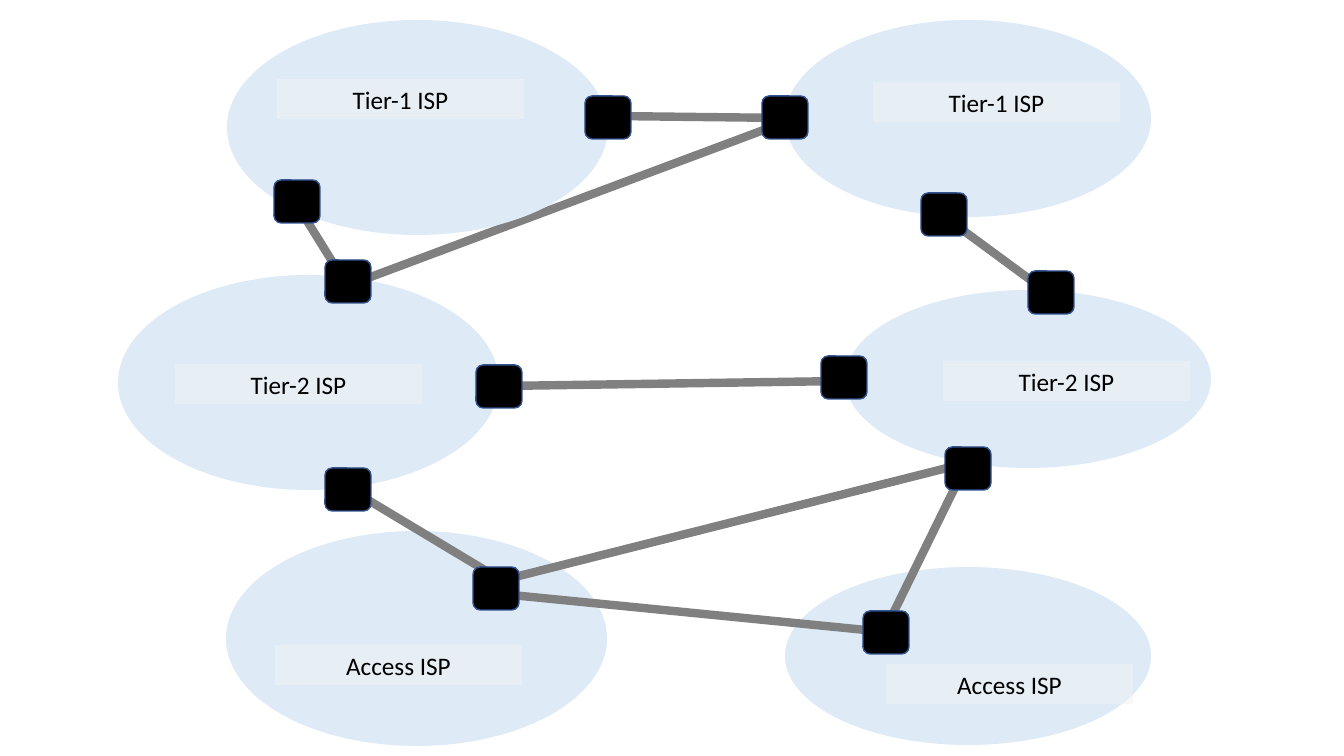
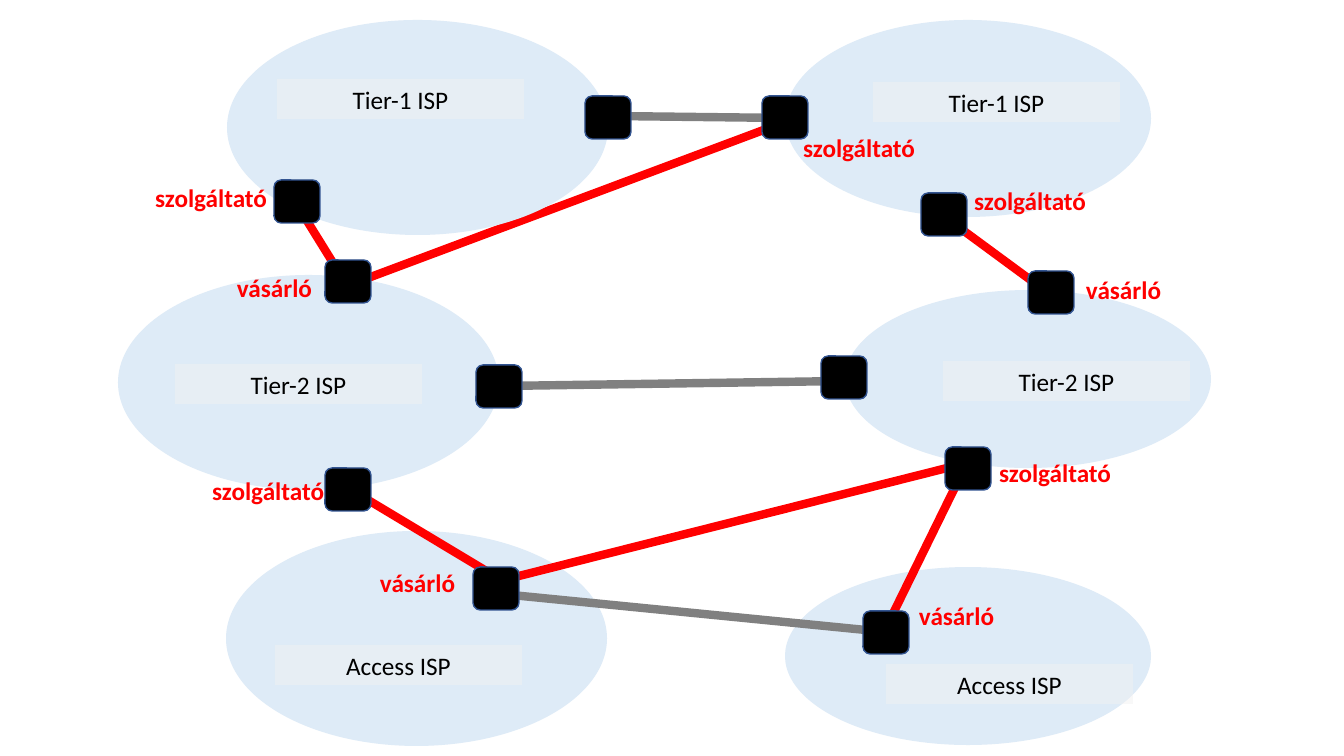
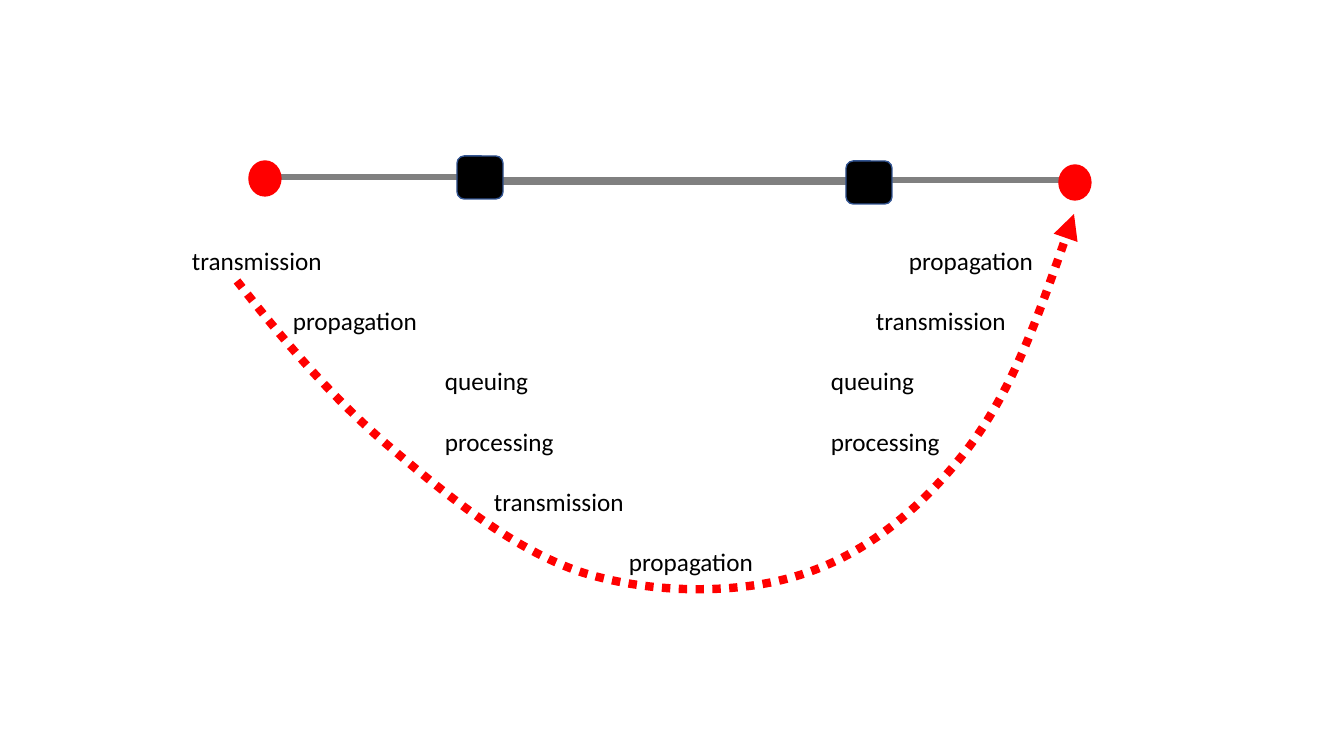
from lxml import etree
from pptx import Presentation
from pptx.dml.color import RGBColor
from pptx.enum.dml import MSO_LINE
from pptx.enum.shapes import MSO_CONNECTOR, MSO_SHAPE
from pptx.enum.text import MSO_ANCHOR, PP_ALIGN
from pptx.oxml.ns import qn
from pptx.util import Emu, Pt

OVAL, RECT, ROUNDED = MSO_SHAPE.OVAL, MSO_SHAPE.RECTANGLE, MSO_SHAPE.ROUNDED_RECTANGLE
STRAIGHT = MSO_CONNECTOR.STRAIGHT
LEFT, CENTER, RIGHT = PP_ALIGN.LEFT, PP_ALIGN.CENTER, PP_ALIGN.RIGHT
MIDDLE = MSO_ANCHOR.MIDDLE
DOTTED = MSO_LINE.ROUND_DOT

SLIDE_WIDTH, SLIDE_HEIGHT = 1344, 756
SCALE = 12192000 / SLIDE_WIDTH
FONT, TEXT_SIZE = "Calibri", 18
COLORS = {
    "cloud": "DEEBF7", "label": "F2F2F2", "router": "000000", "router edge": "325491",
    "link": "808080", "accent": "FF0000", "text": "000000",
}

# Provider network: boxes are left, top, width, height; links are x1, y1, x2, y2
ACCESS_CLOUDS = [(785, 567, 366, 178), (226, 531, 381, 215)]
TIER_CLOUDS = [(118, 275, 381, 215), (227, 20, 381, 215),
               (845, 290, 366, 178), (785, 20, 366, 197)]
PEER_LINKS = [(491, 593, 886, 632), (503, 386, 845, 381), (613, 116, 785, 118)]
CUSTOMER_LINKS = [(348, 488, 503, 581), (886, 628, 967, 463), (499, 581, 967, 463),
                  (348, 287, 296, 203), (344, 287, 785, 122), (945, 217, 1051, 295)]
ROUTER_SIZE = (46, 43)
ROUTERS = [(473, 567), (863, 611), (476, 365), (821, 356), (325, 468), (945, 447),
           (585, 96), (762, 96), (274, 180), (325, 260), (921, 193), (1028, 271)]
LABEL_SIZE = (247, 40)
LABELS = [("Access ISP", 275, 645), ("Access ISP", 886, 664),
          ("Tier-2 ISP", 175, 364), ("Tier-2 ISP", 943, 361),
          ("Tier-1 ISP", 277, 79), ("Tier-1 ISP", 873, 82)]
ROLE_SIZE = (159, 40)
ROLES = [("vásárló", 163, 267), ("szolgáltató", 118, 177),
         ("vásárló", 306, 562), ("szolgáltató", 175, 470),
         ("vásárló", 845, 595), ("szolgáltató", 962, 452),
         ("vásárló", 1012, 269), ("szolgáltató", 937, 180), ("szolgáltató", 766, 127)]

# Delay path: each line lists words with their distance from the text edge
DELAY_LINKS = [((475, 181, 869, 181), 6), ((268, 177, 484, 177), 4.5),
               ((869, 180, 1076, 180), 4.5)]
DELAY_ROUTERS = [(457, 156), (846, 161)]
HOST_SIZE = (32, 35)
HOSTS = [(249, 161), (1059, 165)]
DELAY_BOX = (182, 240, 1020, 346)
DELAYS = [
    [("transmission", 0), ("propagation", 717)],
    [("propagation", 101), ("transmission", 684)],
    [("queuing", 253), ("queuing", 639)],
    [("processing", 253), ("processing", 639)],
    [("transmission", 302)],
    [("propagation", 437)],
]
ROUTE_START = (237, 281)
ROUTE_CURVES = [
    (284, 341), (333, 399), (391, 448),
    (449, 497), (515, 551), (584, 573),
    (652, 594), (740, 595), (803, 574),
    (868, 553), (923, 507), (969, 447),
    (1014, 387), (1044, 300), (1074, 214),
]


def px(value):
    return Emu(round(value * SCALE))


def color(name):
    return RGBColor.from_string(COLORS[name])


def add_box(page, kind, place, fill, edge=None, opacity=None):
    shape = page.shapes.add_shape(kind, *map(px, place))
    shape.shadow.inherit = False
    shape.fill.solid()
    shape.fill.fore_color.rgb = color(fill)
    if opacity:
        tint = shape.fill._xPr.find(".//" + qn("a:srgbClr"))
        etree.SubElement(tint, qn("a:alpha"), val=str(opacity * 1000))
    if edge:
        shape.line.color.rgb = color(edge)
        shape.line.width = Pt(1)
    else:
        shape.line.fill.background()
    return shape


def add_link(page, ends, tone="link", width=6):
    line = page.shapes.add_connector(STRAIGHT, *map(px, ends))
    line.line.color.rgb = color(tone)
    line.line.width = Pt(width)
    etree.SubElement(line._element.spPr, qn("a:effectLst"))


def add_routers(page, corners):
    for corner in corners:
        add_box(page, ROUNDED, corner + ROUTER_SIZE, "router", "router edge")


def write(para, text, align=LEFT, tone="text", bold=False):
    para.alignment = align
    span = para.add_run()
    span.text = text
    span.font.name = FONT
    span.font.size = Pt(TEXT_SIZE)
    span.font.bold = bold
    span.font.color.rgb = color(tone)


def add_text_box(page, place):
    frame = page.shapes.add_textbox(*map(px, place)).text_frame
    frame.word_wrap = True
    return frame


def set_tabs(para, stops):
    tabs = etree.SubElement(para._p.get_or_add_pPr(), qn("a:tabLst"))
    for stop in stops:
        etree.SubElement(tabs, qn("a:tab"), pos=str(px(stop)), algn="l")


def add_route(page):
    builder = page.shapes.build_freeform(*ROUTE_START, scale=SCALE)
    builder.add_line_segments(ROUTE_CURVES, close=False)
    route = builder.convert_to_shape()
    route.shadow.inherit = False
    route.fill.background()
    route.line.color.rgb = color("accent")
    route.line.width = Pt(6)
    route.line.dash_style = DOTTED
    etree.SubElement(route.line._get_or_add_ln(), qn("a:tailEnd"), type="triangle")
    # Every three points become one cubic curve
    outline = route._element.find(".//" + qn("a:path"))
    segments = outline.findall(qn("a:lnTo"))
    for start in range(0, len(segments), 3):
        curve = etree.SubElement(outline, qn("a:cubicBezTo"))
        for segment in segments[start:start + 3]:
            curve.append(segment[0])
            outline.remove(segment)


def build_network(page, customer_tone, roles=()):
    for cloud in ACCESS_CLOUDS:
        add_box(page, OVAL, cloud, "cloud")
    for ends in PEER_LINKS:
        add_link(page, ends)
    for ends in CUSTOMER_LINKS:
        add_link(page, ends, customer_tone)
    # Tier clouds cover the link ends
    for cloud in TIER_CLOUDS:
        add_box(page, OVAL, cloud, "cloud")
    add_routers(page, ROUTERS)
    for text, left, top in LABELS:
        label = add_box(page, RECT, (left, top) + LABEL_SIZE, "label", opacity=48)
        label.text_frame.vertical_anchor = MIDDLE
        write(label.text_frame.paragraphs[0], text, align=CENTER)
    for text, left, top in roles:
        frame = add_text_box(page, (left, top) + ROLE_SIZE)
        write(frame.paragraphs[0], text, align=RIGHT, tone="accent", bold=True)


def build_delays(page):
    for ends, width in DELAY_LINKS:
        add_link(page, ends, width=width)
    add_routers(page, DELAY_ROUTERS)
    for corner in HOSTS:
        add_box(page, OVAL, corner + HOST_SIZE, "accent", "accent")
    frame = add_text_box(page, DELAY_BOX)
    for index, words in enumerate(DELAYS):
        para = frame.add_paragraph() if index else frame.paragraphs[0]
        if index:
            para.space_before = Pt(21.5)
        set_tabs(para, [stop for _, stop in words if stop])
        write(para, "".join("\t" * (stop > 0) + word for word, stop in words))
    add_route(page)


def main():
    deck = Presentation()
    deck.slide_width, deck.slide_height = px(SLIDE_WIDTH), px(SLIDE_HEIGHT)
    blank = deck.slide_layouts[6]
    build_network(deck.slides.add_slide(blank), "link")
    build_network(deck.slides.add_slide(blank), "accent", ROLES)
    build_delays(deck.slides.add_slide(blank))
    deck.save("out.pptx")


if __name__ == "__main__":
    main()
